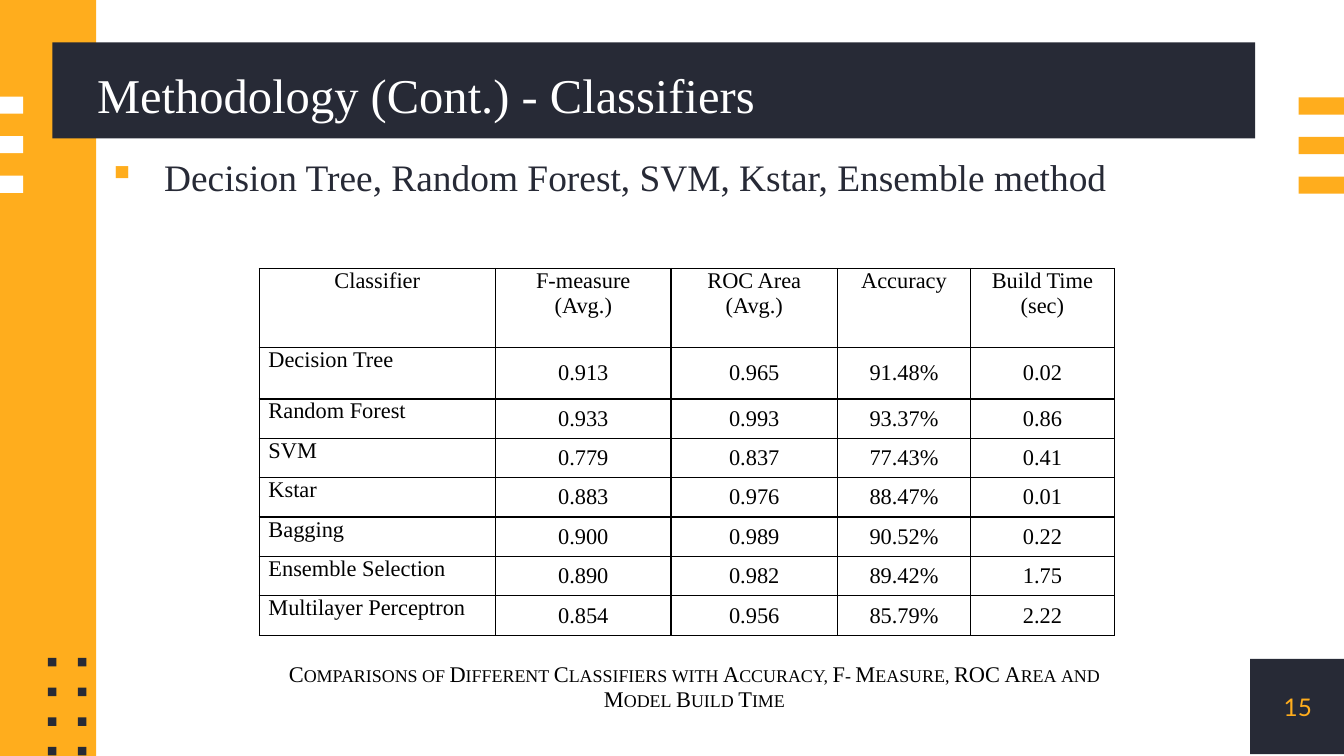
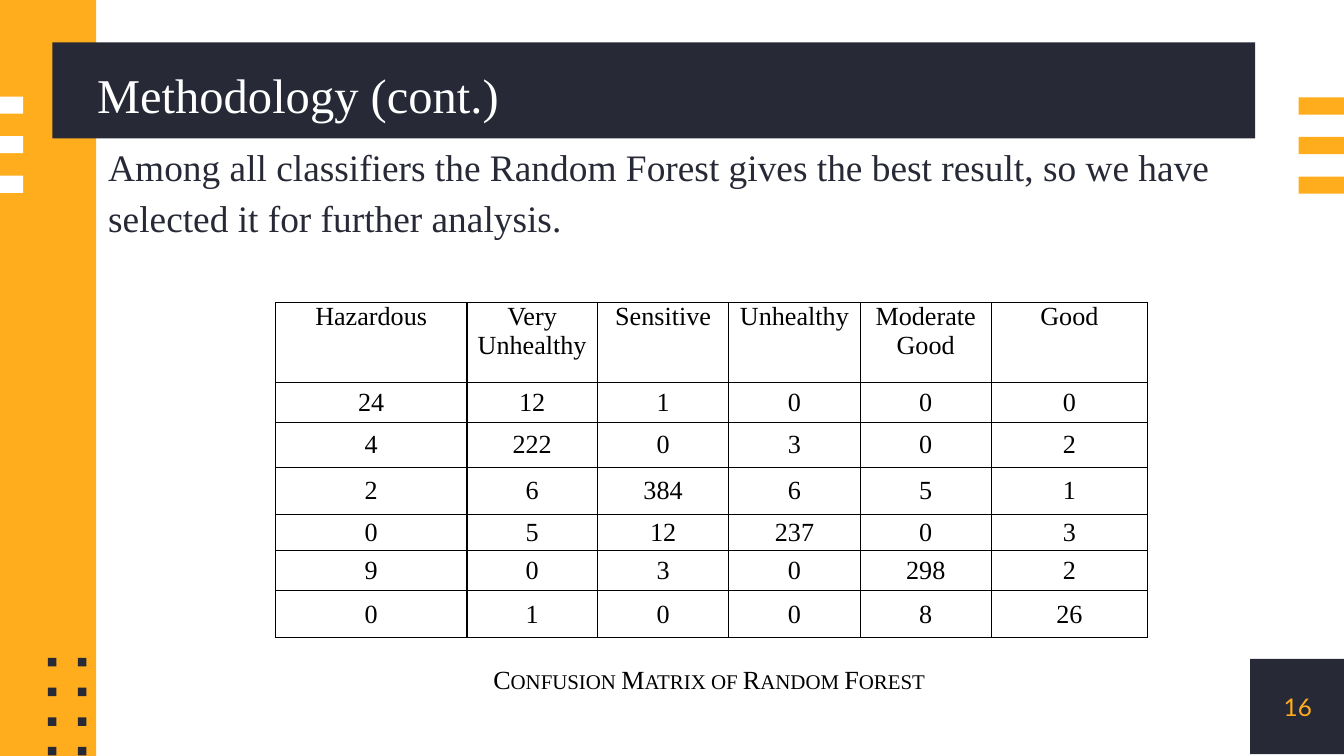
from lxml import etree
from pptx import Presentation
from pptx.dml.color import RGBColor
from pptx.enum.shapes import MSO_SHAPE
from pptx.enum.text import MSO_ANCHOR, MSO_AUTO_SIZE, PP_ALIGN
from pptx.oxml.ns import qn
from pptx.util import Pt

RECTANGLE = MSO_SHAPE.RECTANGLE
LEFT, CENTER = PP_ALIGN.LEFT, PP_ALIGN.CENTER
TOP, MIDDLE = MSO_ANCHOR.TOP, MSO_ANCHOR.MIDDLE
FIXED, GROW = MSO_AUTO_SIZE.NONE, MSO_AUTO_SIZE.SHAPE_TO_FIT_TEXT
TITLE_ONLY = 5

DARK, ORANGE, WHITE, BLACK = "272A36", "FFAD1D", "FFFFFF", "000000"
SERIF, SANS = "Times New Roman", "Lato"


def color(value):
    return RGBColor.from_string(value)


def write(frame, text, size=12, font=SERIF, fill=BLACK, align=LEFT, spacing=None,
          before=None, after=None, indent=None, bullet=None, small_caps=False):
    para = frame.paragraphs[0]
    para.alignment = align
    if spacing is not None:
        para.line_spacing = spacing
    if before is not None:
        para.space_before = Pt(before)
    if after is not None:
        para.space_after = Pt(after)
    properties = para._p.get_or_add_pPr()
    if indent is not None:
        margin, first_line = indent
        properties.set("marL", str(Pt(margin)))
        properties.set("indent", str(Pt(first_line)))
    if bullet:
        bullet_color = etree.SubElement(properties, qn("a:buClr"))
        etree.SubElement(bullet_color, qn("a:srgbClr"), val=ORANGE)
        etree.SubElement(properties, qn("a:buChar"), char=bullet)
    span = para.add_run()
    span.text = text
    span.font.size = Pt(size)
    span.font.name = font
    span.font.color.rgb = color(fill)
    if small_caps:
        span.font._element.set("cap", "small")


class Slides:
    def __init__(self):
        self.deck = Presentation()
        self.deck.slide_width, self.deck.slide_height = Pt(720), Pt(405)
        self.page = None

    def start(self, title, number):
        self.page = self.deck.slides.add_slide(self.deck.slide_layouts[TITLE_ONLY])
        self.decorate()
        self.title(title)
        box = self.text_box(669.7, 353.3, 51, 51, anchor=MIDDLE)
        write(box, str(number), size=13, font=SANS, fill=ORANGE, align=CENTER)

    def decorate(self):
        self.block(669.7, 353, 51, 51, DARK)
        self.block(0, -0.5, 51.5, 405.5, ORANGE)
        self.block(28, 22.7, 644.4, 51.4, DARK)
        for row in range(3):
            self.block(0, 51.7 + 21.2 * row, 12.4, 9.2, WHITE)
            self.block(695.7, 52.2 + 21.2 * row, 24.3, 9.2, ORANGE)
        for row in range(4):
            for column in range(2):
                self.block(25.7 + 16 * column, 352.5 + 15.9 * row, 4.6, 4.6, DARK)

    def block(self, left, top, width, height, fill):
        box = self.page.shapes.add_shape(
            RECTANGLE, Pt(left), Pt(top), Pt(width), Pt(height))
        box.shadow.inherit = False
        box.fill.solid()
        box.fill.fore_color.rgb = color(fill)
        box.line.fill.background()

    def frame(self, box, anchor, inset=(0, 0), auto_size=FIXED):
        frame = box.text_frame
        frame.word_wrap = True
        frame.auto_size = auto_size
        frame.vertical_anchor = anchor
        frame.margin_left = frame.margin_right = Pt(inset[0])
        frame.margin_top = frame.margin_bottom = Pt(inset[1])
        return frame

    def title(self, text):
        box = self.page.shapes.title
        box.left, box.top, box.width, box.height = Pt(52), Pt(31), Pt(617.7), Pt(42.5)
        box._element.getparent().append(box._element)
        write(self.frame(box, MIDDLE), text, size=26, fill=WHITE, spacing=0.9)

    def text_box(self, left, top, width, height, anchor=TOP, **format):
        box = self.page.shapes.add_textbox(Pt(left), Pt(top), Pt(width), Pt(height))
        return self.frame(box, anchor, **format)

    def body(self, text, top, height, **format):
        box = self.text_box(52, top, 600.5, height)
        write(box, text, size=20, fill=DARK, spacing=1.15, before=6, **format)

    def caption(self, text, left, top, width, height, size):
        box = self.text_box(left, top, width, height, inset=(7.2, 3.6), auto_size=GROW)
        write(box, text, size=size, align=CENTER, spacing=0.9, before=12, after=6,
              small_caps=True)

    def table(self, left, top, widths, heights, rows, size, row_labels=False):
        table = self.page.shapes.add_table(
            len(rows), len(widths), Pt(left), Pt(top),
            Pt(sum(widths)), Pt(sum(heights))).table
        table.first_row = table.horz_banding = False
        for column, width in zip(table.columns, widths):
            column.width = Pt(width)
        for row, height in zip(table.rows, heights):
            row.height = Pt(height)
        for row_index, values in enumerate(rows):
            for column_index, value in enumerate(values):
                cell = table.cell(row_index, column_index)
                is_header = row_index == 0
                is_label = row_labels and column_index == 0 and not is_header
                cell.vertical_anchor = TOP if is_header or is_label else MIDDLE
                cell.margin_left = cell.margin_right = Pt(5)
                cell.margin_top = cell.margin_bottom = Pt(0)
                cell.fill.background()
                self.borders(cell)
                write(cell.text_frame, value, size=size,
                      align=LEFT if is_label else CENTER)

    def borders(self, cell):
        properties = cell._tc.get_or_add_tcPr()
        for position, side in enumerate(("a:lnL", "a:lnR", "a:lnT", "a:lnB")):
            line = etree.Element(qn(side), w=str(Pt(0.75)))
            fill = etree.SubElement(line, qn("a:solidFill"))
            etree.SubElement(fill, qn("a:srgbClr"), val=BLACK)
            properties.insert(position, line)


CLASSIFIERS = [
    ("Classifier", "F-measure (Avg.)", "ROC Area (Avg.)", "Accuracy", "Build Time (sec)"),
    ("Decision Tree", "0.913", "0.965", "91.48%", "0.02"),
    ("Random Forest", "0.933", "0.993", "93.37%", "0.86"),
    ("SVM", "0.779", "0.837", "77.43%", "0.41"),
    ("Kstar", "0.883", "0.976", "88.47%", "0.01"),
    ("Bagging", "0.900", "0.989", "90.52%", "0.22"),
    ("Ensemble Selection", "0.890", "0.982", "89.42%", "1.75"),
    ("Multilayer Perceptron", "0.854", "0.956", "85.79%", "2.22"),
]

CONFUSION_MATRIX = [
    ("Hazardous", "Very Unhealthy", "Sensitive", "Unhealthy", "Moderate Good", "Good"),
    ("24", "12", "1", "0", "0", "0"),
    ("4", "222", "0", "3", "0", "2"),
    ("2", "6", "384", "6", "5", "1"),
    ("0", "5", "12", "237", "0", "3"),
    ("9", "0", "3", "0", "298", "2"),
    ("0", "1", "0", "0", "8", "26"),
]


def main():
    slides = Slides()

    slides.start("Methodology (Cont.) - Classifiers", 15)
    slides.body("Decision Tree, Random Forest, SVM, Kstar, Ensemble method",
                79.2, 41.8, indent=(36, -30), bullet="▪")
    slides.table(138.8, 143.8, [126.7, 94, 89.2, 71.3, 77], [42.2, 27.8] + [21.1] * 6,
                 CLASSIFIERS, 12, row_labels=True)
    slides.caption("Comparisons of Different Classifiers with Accuracy, F- Measure, "
                   "ROC Area and Model Build Time", 147, 352, 450, 33, 12)

    slides.start("Methodology (cont.)", 16)
    slides.body("Among all classifiers the Random Forest gives the best result, "
                "so we have selected it for further analysis.",
                73.4, 66.2, indent=(6, 0))
    slides.table(147.6, 162, [102.6, 69.9, 70.4, 70.4, 70.2, 83.8],
                 [42.9, 21.4, 24.1, 25.2, 19.3, 21.7, 25.2], CONFUSION_MATRIX, 14)
    slides.caption("Confusion Matrix of Random Forest", 244.8, 353.5, 270, 22.3, 14)

    slides.deck.save("out.pptx")


if __name__ == "__main__":
    main()
